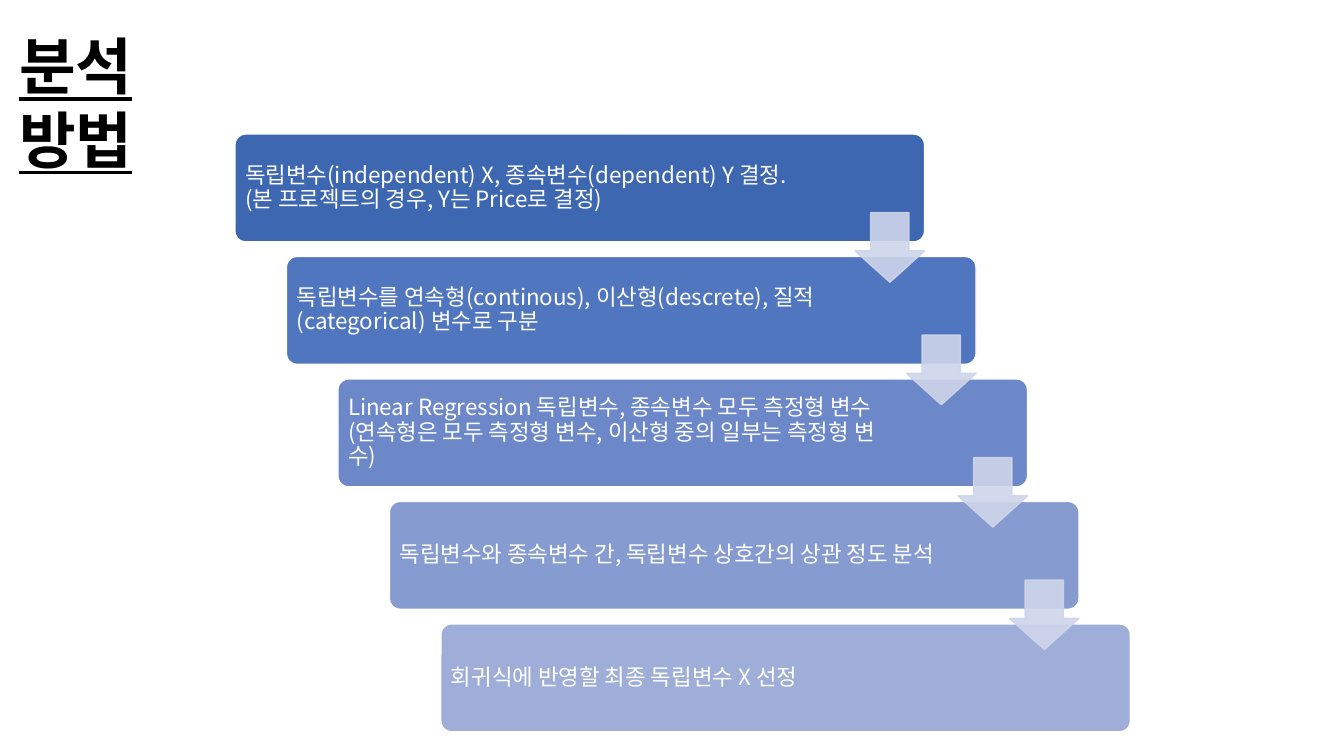
from pptx import Presentation
from pptx.dml.color import RGBColor
from pptx.enum.shapes import MSO_SHAPE as Shape
from pptx.enum.text import MSO_ANCHOR as Anchor, PP_ALIGN as Align
from pptx.oxml.ns import qn
from pptx.util import Inches, Pt
from lxml.etree import SubElement

WHITE = RGBColor(0xFF, 0xFF, 0xFF)
BLACK = RGBColor(0x00, 0x00, 0x00)
ARROW_TINT = RGBColor(0xCF, 0xD5, 0xEA)
STEP_BLUES = [
    RGBColor(0x3E, 0x67, 0xB2),
    RGBColor(0x51, 0x76, 0xC0),
    RGBColor(0x6C, 0x88, 0xC8),
    RGBColor(0x86, 0x9B, 0xD0),
    RGBColor(0x9F, 0xAE, 0xD8),
]

STEPS = [
    "독립변수(independent) X, 종속변수(dependent) Y 결정.\n(본 프로젝트의 경우, Y는 Price로 결정)",
    "독립변수를 연속형(continous), 이산형(descrete), 질적(categorical) 변수로 구분",
    "Linear Regression 독립변수, 종속변수 모두 측정형 변수\n"
    "(연속형은 모두 측정형 변수, 이산형 중의 일부는 측정형 변수)",
    "독립변수와 종속변수 간, 독립변수 상호간의 상관 정도 분석",
    "회귀식에 반영할 최종 독립변수 X 선정",
]

# Staircase, in percent of the slide's width and height
STEP_X, STEP_Y, STEP_W, STEP_H = 17.48, 17.73, 51.31, 14.27
ARROW_X, ARROW_Y, ARROW_W, ARROW_H = 63.62, 28.13, 5.18, 9.2
SHIFT_X, SHIFT_Y = 3.83, 16.2
PAD_X, PAD_Y, TEXT_W = 0.23, 0.4, 41.86


class Deck:
    font = "Noto Sans CJK KR"

    def __init__(self):
        self.prs = Presentation()
        self.prs.slide_width, self.prs.slide_height = Inches(13.33), Inches(7.5)
        self.slide = self.prs.slides.add_slide(self.prs.slide_layouts[6])
        self.target = self.slide.shapes

    def start_group(self):
        self.target = self.slide.shapes.add_group_shape().shapes

    def area(self, x, y, w, h):
        """Turn percentages of the slide into lengths."""
        width, height = self.prs.slide_width, self.prs.slide_height
        return [round(share * full / 100)
                for share, full in ((x, width), (y, height), (w, width), (h, height))]

    def block(self, kind, box, adjustments, fill, line, alpha=None):
        block = self.target.add_shape(kind, *self.area(*box))
        for index, value in enumerate(adjustments):
            block.adjustments[index] = value
        block.shadow.inherit = False
        block.fill.solid()
        block.fill.fore_color.rgb = fill
        block.line.color.rgb = line
        block.line.width = Pt(1)
        if alpha is not None:
            for color in block._element.spPr.iter(qn("a:srgbClr")):
                SubElement(color, qn("a:alpha")).set("val", str(alpha * 1000))

    def text(self, words, box, size, color, inset=None, anchor=Anchor.TOP,
             spacing=None, strong=False):
        frame = self.target.add_textbox(*self.area(*box)).text_frame
        frame.word_wrap = True
        frame.vertical_anchor = anchor
        if inset is not None:
            frame.margin_left = frame.margin_right = Inches(inset)
            frame.margin_top = frame.margin_bottom = Inches(inset)
        paragraph = frame.paragraphs[0]
        paragraph.text = words
        paragraph.alignment = Align.LEFT
        paragraph.line_spacing = spacing
        for run in paragraph.runs:
            run.font.name, run.font.size = self.font, Pt(size)
            run.font.color.rgb = color
            run.font.bold = run.font.underline = strong
            SubElement(run.font._element, qn("a:ea")).set("typeface", self.font)


def main():
    deck = Deck()

    # Title
    deck.text("분석 방법", (0.68, 3.07, 19.05, 11.2), 44, BLACK, strong=True)

    # Steps going down to the right
    deck.start_group()
    for i, (step, blue) in enumerate(zip(STEPS, STEP_BLUES)):
        x, y = STEP_X + i * SHIFT_X, STEP_Y + i * SHIFT_Y
        deck.block(Shape.ROUNDED_RECTANGLE, (x, y, STEP_W, STEP_H), [0.1], blue, WHITE)
        deck.text(step, (x + PAD_X, y + PAD_Y, TEXT_W, STEP_H - 2 * PAD_Y), 16, WHITE,
                  inset=0.07, anchor=Anchor.MIDDLE, spacing=0.9)

    # Arrows between neighbouring steps
    for i in range(len(STEPS) - 1):
        box = (ARROW_X + i * SHIFT_X, ARROW_Y + i * SHIFT_Y, ARROW_W, ARROW_H)
        deck.block(Shape.DOWN_ARROW, box, [0.55, 0.45], ARROW_TINT, ARROW_TINT, alpha=90)

    deck.prs.save("out.pptx")


if __name__ == "__main__":
    main()
